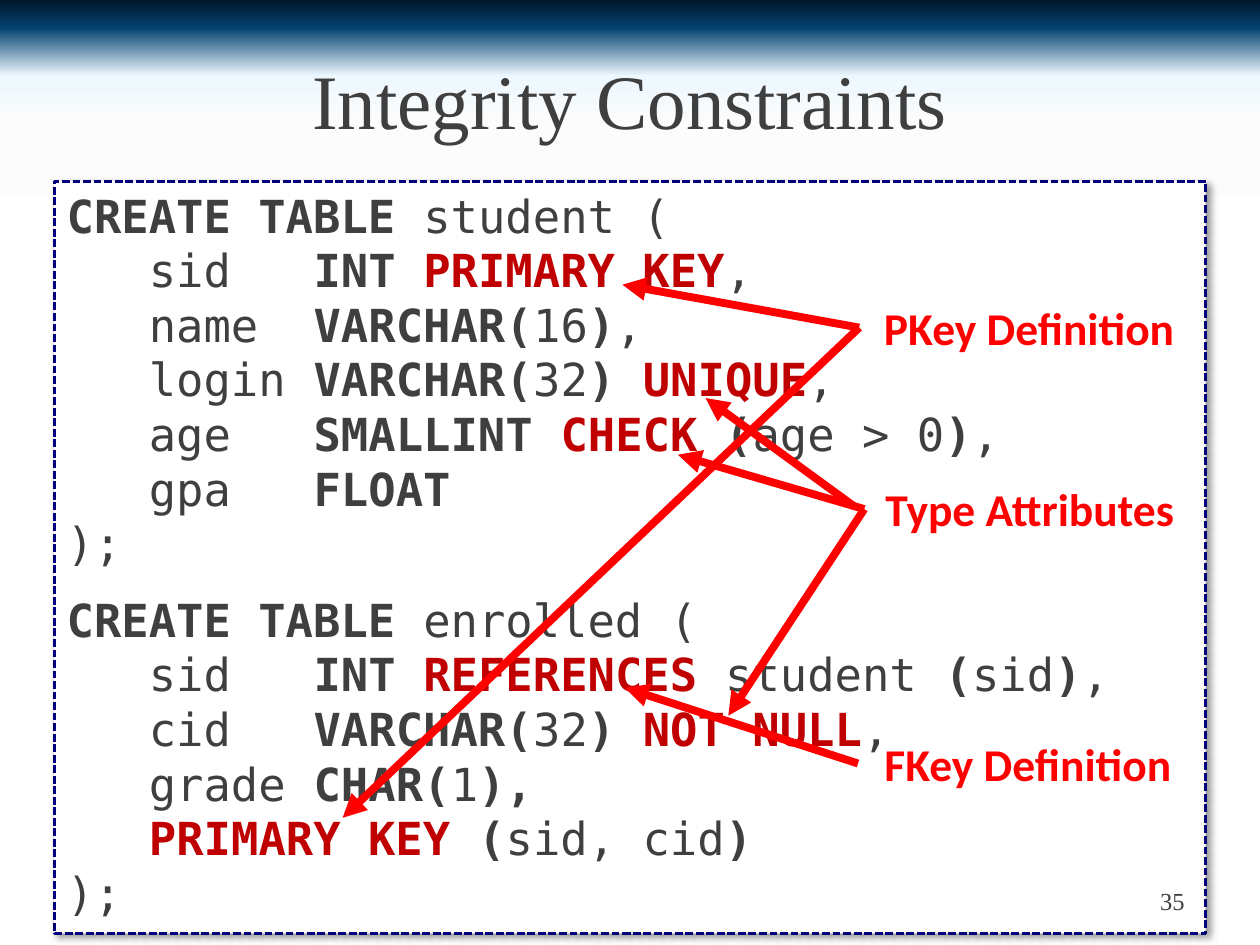
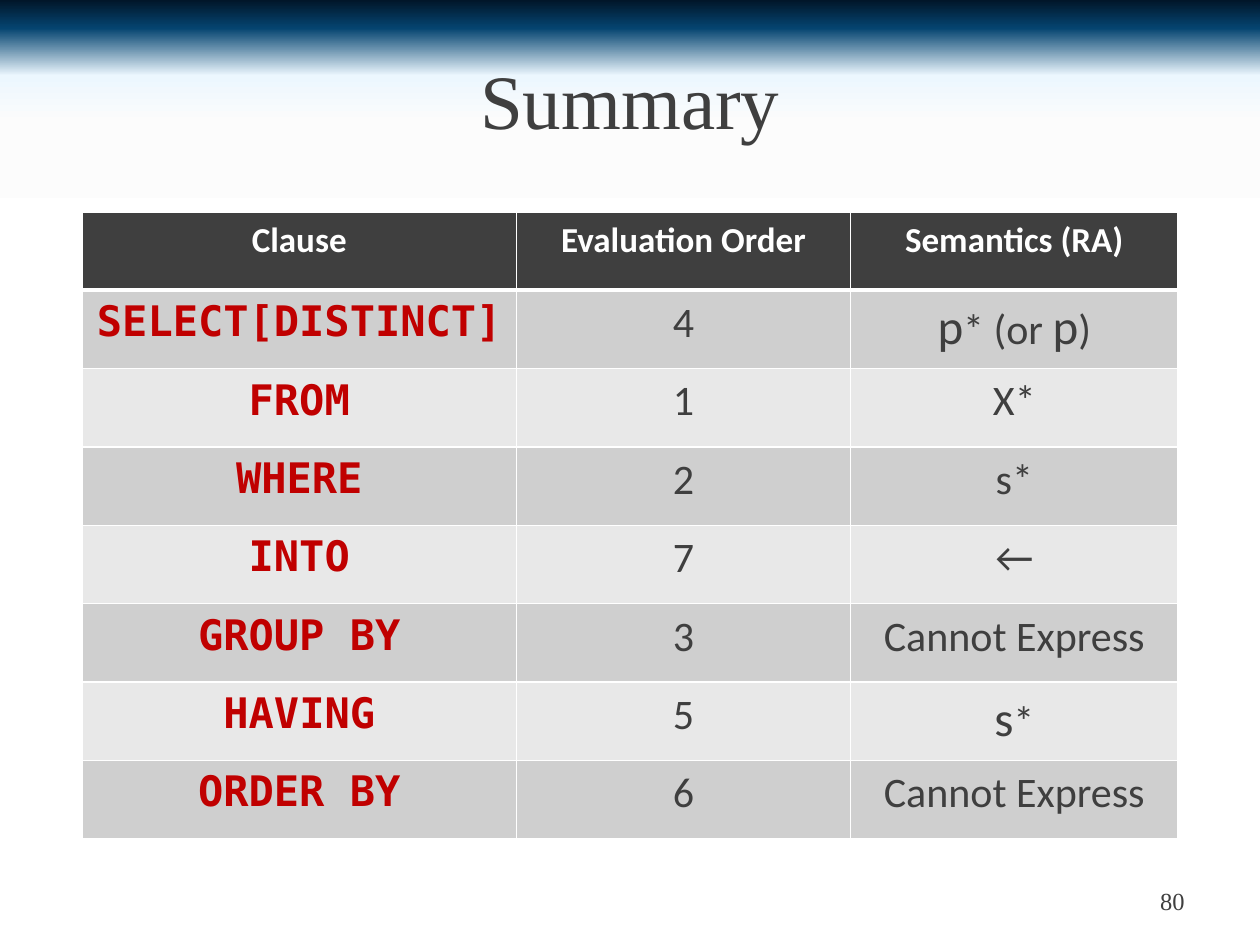
"""Builds two SQL lecture slides: integrity constraints and a clause summary."""
import lxml.etree
import pptx
import pptx.dml.color
import pptx.enum.dml
import pptx.enum.shapes
import pptx.enum.text
import pptx.oxml.ns
import pptx.util

Pt = pptx.util.Pt
qn = pptx.oxml.ns.qn
ALIGN = pptx.enum.text.PP_ALIGN
ANCHOR = pptx.enum.text.MSO_ANCHOR

SERIF, SANS, MONO = "Times New Roman", "Calibri", "DejaVu Sans Mono"
INK, RED, KEYWORD, WHITE, NAVY = "3F3F3F", "FF0000", "C00000", "FFFFFF", "00007A"
BANDS = ("CFCFCF", "E8E8E8")
SKY = ((0, "011629"), (3, "054470"), (8, "ECF7FE"),
       (13, "FCFCFC"), (21, WHITE), (98, WHITE))
MARKS = {"+": {"bold": True},
         "!": {"bold": True, "color": KEYWORD},
         "^": {"size": 28}}

STUDENT = [
    "+CREATE TABLE |student (",
    "   sid   |+INT |!PRIMARY KEY|,",
    "   name  |+VARCHAR(|16|+)|,",
    "   login |+VARCHAR(|32|+) |!UNIQUE|,",
    "   age   |+SMALLINT |!CHECK|+ (|age > 0|+)|,",
    "   gpa   |+FLOAT",
    ");",
]
ENROLLED = [
    "+CREATE TABLE| enrolled (",
    "   sid   |+INT |!REFERENCES |student |+(|sid|+)|,",
    "   cid   |+VARCHAR(|32|+) |!NOT NULL|,",
    "   grade |+CHAR(|1|+),",
    "   |!PRIMARY KEY |+(|sid, cid|+)",
    ");",
]
CALLOUTS = [
    ("PKey Definition", (491, 167.8, 194.4, 38.9), [
        ((491, 187.2), (355.7, 162.7)),
        ((491, 187.2), (195.8, 467.3))]),
    ("Type Attributes", (493.9, 271.4, 189.4, 38.9), [
        ((493.9, 290.9), (416.2, 409)),
        ((493.9, 290.9), (387.4, 259.9)),
        ((488.2, 289.4), (403.2, 227.5))]),
    ("FKey Definition", (490.3, 416.9, 194.4, 38.9), [
        ((490.3, 436.3), (357.1, 393.1))]),
]
CLAUSES = [
    ("Clause", "Evaluation Order", "Semantics (RA)"),
    ("SELECT[DISTINCT]", "4", "^p|* (or |^p|)"),
    ("FROM", "1", "X*"),
    ("WHERE", "2", "s*"),
    ("INTO", "7", "←"),
    ("GROUP BY", "3", "Cannot Express"),
    ("HAVING", "5", "^s|*"),
    ("ORDER BY", "6", "Cannot Express"),
]


def rgb(code):
    return pptx.dml.color.RGBColor.from_string(code)


def add_xml(parent, tag, **attrs):
    return lxml.etree.SubElement(parent, qn(tag), attrs)


class Deck:
    """Holds the presentation, its shared style and the current slide."""

    def __init__(self):
        self.prs = pptx.Presentation()
        self.prs.slide_width, self.prs.slide_height = Pt(720), Pt(540)
        self.s = None
        self.background()

    def background(self):
        """Give every slide the blue sky gradient through the master."""
        master = self.prs.slide_master
        fill = master.background.fill
        fill.gradient()
        fill.gradient_angle = 270
        stops = next(master._element.iter(qn("a:gsLst")))
        for stop in list(stops):
            stops.remove(stop)
        for percent, code in SKY:
            stop = add_xml(stops, "a:gs", pos=str(percent * 1000))
            add_xml(stop, "a:srgbClr", val=code)

    def slide(self, title, title_box):
        """Start a slide with its title."""
        self.s = self.prs.slides.add_slide(self.prs.slide_layouts[6])
        self.text(title, title_box, SERIF, 44)

    def page_number(self, number):
        """Add the page number at the lower right."""
        self.text(number, (516.2, 500.4, 167.8, 28.8), SERIF, 14, align=ALIGN.RIGHT)

    def add_runs(self, p, marked, font, size, color=INK, bold=False):
        """Add the runs of a line; a bar parts runs and a mark styles one."""
        for part in marked.split("|"):
            style = {"size": size, "color": color, "bold": bold}
            if part[0] in MARKS:
                style.update(MARKS[part[0]])
                part = part[1:]
            r = p.add_run()
            r.text = part
            r.font.name, r.font.size = font, Pt(style["size"])
            r.font.bold = style["bold"]
            r.font.color.rgb = rgb(style["color"])

    def text(self, words, box, font, size, color=INK, bold=False,
             align=ALIGN.CENTER, anchor=ANCHOR.MIDDLE, wrap=True):
        """Add a one-line text box."""
        tf = self.s.shapes.add_textbox(*map(Pt, box)).text_frame
        tf.word_wrap, tf.vertical_anchor = wrap, anchor
        p = tf.paragraphs[0]
        p.alignment = align
        self.add_runs(p, words, font, size, color, bold)

    def code(self, blocks, box):
        """Add a dashed, shadowed panel of code blocks."""
        sp = self.s.shapes.add_shape(pptx.enum.shapes.MSO_SHAPE.RECTANGLE, *map(Pt, box))
        sp.fill.solid()
        sp.fill.fore_color.rgb = rgb(WHITE)
        sp.line.color.rgb = rgb(NAVY)
        sp.line.width = Pt(1.5)
        sp.line.dash_style = pptx.enum.dml.MSO_LINE.SQUARE_DOT
        sp.shadow.inherit = False
        effects = sp._element.spPr.find(qn("a:effectLst"))
        shadow = add_xml(effects, "a:outerShdw", blurRad=str(Pt(4)), dist=str(Pt(3)),
                         dir="2700000", algn="tl", rotWithShape="0")
        add_xml(add_xml(shadow, "a:srgbClr", val="000000"), "a:alpha", val="40000")
        tf = sp.text_frame
        tf.word_wrap, tf.vertical_anchor = True, ANCHOR.TOP
        p = tf.paragraphs[0]
        for b, block in enumerate(blocks):
            for i, line in enumerate(block):
                if b or i:
                    p = tf.add_paragraph()
                p.alignment = ALIGN.LEFT
                p.line_spacing = Pt(31.2)
                if b and not i:
                    p.space_before = Pt(12.5)
                self.add_runs(p, line, MONO, 26)

    def arrow(self, start, end):
        """Add a thick red arrow."""
        c = self.s.shapes.add_connector(
            pptx.enum.shapes.MSO_CONNECTOR.STRAIGHT, *map(Pt, start + end))
        c.line.color.rgb = rgb(RED)
        c.line.width = Pt(4.5)
        spPr = c._element.spPr
        add_xml(spPr.find(qn("a:ln")), "a:tailEnd", type="triangle")
        add_xml(spPr, "a:effectLst")

    def borders(self, cell, widths):
        """Draw white cell borders of the given widths by side."""
        tcPr = cell._tc.get_or_add_tcPr()
        for i, (side, width) in enumerate(widths.items()):
            ln = add_xml(tcPr, "a:ln" + side, w=str(Pt(width)))
            add_xml(add_xml(ln, "a:solidFill"), "a:srgbClr", val=WHITE)
            tcPr.insert(i, ln)

    def table(self, rows, left, top, widths, height):
        """Add a banded table with a dark header and a keyword column."""
        shape = self.s.shapes.add_table(
            len(rows), len(widths), Pt(left), Pt(top), Pt(sum(widths)), Pt(height * len(rows)))
        table = shape.table
        for column, width in zip(table.columns, widths):
            column.width = Pt(width)
        for y, row in enumerate(rows):
            table.rows[y].height = Pt(height)
            for x, words in enumerate(row):
                cell = table.cell(y, x)
                cell.margin_left = cell.margin_right = Pt(7.9)
                cell.margin_top = cell.margin_bottom = Pt(4.3)
                cell.fill.solid()
                cell.fill.fore_color.rgb = rgb(BANDS[(y - 1) % 2] if y else INK)
                self.borders(cell, {"L": 1, "R": 1, "T": 3 if y == 1 else 1,
                                    "B": 1 if y else 3})
                p = cell.text_frame.paragraphs[0]
                p.alignment = ALIGN.CENTER
                if not y:
                    self.add_runs(p, words, SANS, 20, WHITE, True)
                elif not x:
                    self.add_runs(p, words, MONO, 24, KEYWORD, True)
                else:
                    self.add_runs(p, words, SANS, 24)


def main():
    deck = Deck()
    deck.slide("Integrity Constraints", (0, 11.5, 720, 90))
    deck.code([STUDENT, ENROLLED], (31, 103.7, 658, 429.8))
    for label, box, arrows in CALLOUTS:
        deck.text(label, box, SANS, 26, RED, True, anchor=ANCHOR.TOP, wrap=False)
        for start, end in arrows:
            deck.arrow(start, end)
    deck.page_number("35")

    deck.slide("Summary", (36, 11.5, 648, 90))
    deck.page_number("80")
    deck.table(CLAUSES, 46.8, 121, (248.4, 190.8, 187.2), 44.8)
    deck.prs.save("out.pptx")


if __name__ == "__main__":
    main()
